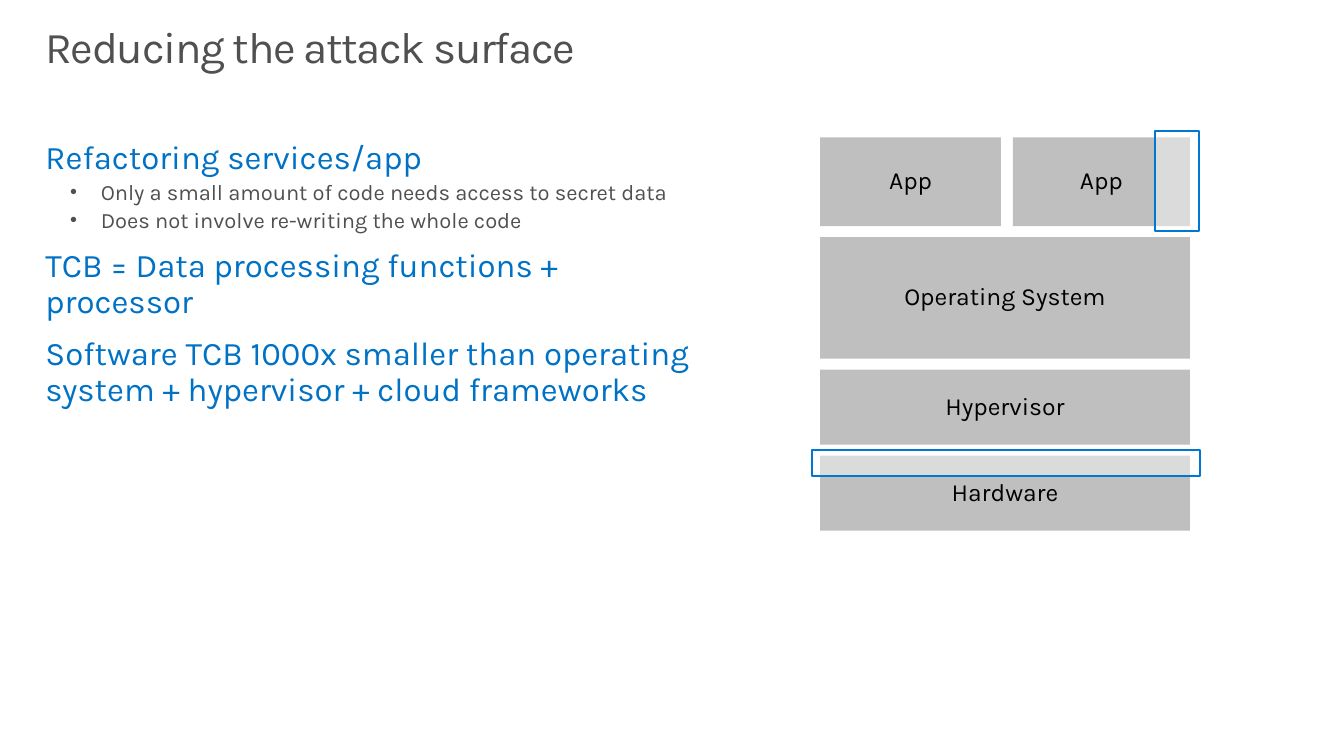
from lxml import etree
from pptx import Presentation
from pptx.dml.color import RGBColor
from pptx.enum.shapes import MSO_SHAPE
from pptx.enum.text import MSO_ANCHOR, PP_ALIGN
from pptx.oxml.ns import qn
from pptx.util import Inches, Pt

COLS, ROWS = 136, 76.5
CELL = Inches(0.1)
FONT = "Karla"
GREY, BLUE, EDGE = "505050", "0072C6", "0078D3"
BLOCK, WHITE, BLACK = "BFBFBF", "FFFFFF", "000000"
POINTS = [
    ("Refactoring services/app", 0, 0),
    ("Only a small amount of code needs access to secret data", 1, 3.2),
    ("Does not involve re-writing the whole code", 1, 3.2),
    ("TCB = Data processing functions + processor", 0, 12),
    ("Software TCB 1000x smaller than operating system + hypervisor + cloud frameworks", 0, 12),
]
LAYERS = [
    (9, [("App", 18.3), ("App", 17.9)]),
    (12.3, [("Operating System", 37.4)]),
    (7.6, [("Hypervisor", 37.4)]),
    (7.6, [("Hardware", 37.4)]),
]


def color(code):
    return RGBColor.from_string(code)


def grid(*cells):
    return [round(n * CELL) for n in cells]


def apply(item, values):
    for name, value in values.items():
        setattr(item, name, value)


def style(para, size, code, **extra):
    apply(para, {"line_spacing": 0.9, **extra})
    apply(para.font, {"size": Pt(size), "name": FONT})
    para.font.color.rgb = color(code)


def frame(slide, box):
    text = slide.shapes.add_textbox(*grid(*box)).text_frame
    left, top = grid(1.6, 1)
    apply(text, {"word_wrap": True, "margin_left": left, "margin_right": left,
                 "margin_top": top, "margin_bottom": top})
    return text


def rect(slide, box, fill):
    shape = slide.shapes.add_shape(MSO_SHAPE.RECTANGLE, *grid(*box))
    shape.shadow.inherit = False
    shape.fill.solid()
    shape.fill.fore_color.rgb = color(fill)
    shape.line.fill.background()
    return shape


def title(slide, box):
    para = frame(slide, box).paragraphs[0]
    run = para.add_run()
    run.text = "Reducing the attack surface"
    style(para, 32, GREY)
    run.font.size = Pt(32)
    run.font._element.set("spc", "-100")


def bullet(para):
    props = para._p.get_or_add_pPr()
    left, hang = grid(5.6, -3.1)
    props.set("marL", str(left))
    props.set("indent", str(hang))
    etree.SubElement(props, qn("a:buSzPct")).set("val", "90000")
    etree.SubElement(props, qn("a:buFont")).set("typeface", "Arial")
    etree.SubElement(props, qn("a:buChar")).set("char", "•")


def body(slide, box):
    text = frame(slide, box)
    for index, (words, level, space) in enumerate(POINTS):
        para = text.add_paragraph() if index else text.paragraphs[0]
        para.text = words
        if level:
            bullet(para)
        size, code = [(24, BLUE), (16, GREY)][level]
        style(para, size, code, level=level, space_before=Pt(space))


def block(slide, box, words):
    text = rect(slide, box, BLOCK).text_frame
    side, edge = grid(2, 1.6)
    apply(text, {"word_wrap": True, "vertical_anchor": MSO_ANCHOR.MIDDLE,
                 "margin_left": side, "margin_right": side,
                 "margin_top": edge, "margin_bottom": edge})
    para = text.paragraphs[0]
    para.text = words
    style(para, 18, BLACK, alignment=PP_ALIGN.CENTER)


def mark(slide, box):
    shape = rect(slide, box, WHITE)
    tint = shape.fill._xPr.find(f".//{qn('a:srgbClr')}")
    etree.SubElement(tint, qn("a:alpha")).set("val", "45000")
    shape.line.color.rgb = color(EDGE)
    shape.line.width = Pt(1.5)


def stack(slide, box):
    left, top, width, height = box
    gap = (height - sum(tall for tall, _ in LAYERS)) / (len(LAYERS) - 1)
    y = top
    for tall, parts in LAYERS:
        x = left
        for words, wide in parts:
            block(slide, (x, y, wide, tall), words)
            x += wide + 1.2
        y += tall + gap
    mark(slide, (left + width - 3.5, top - 0.6, 4.4, 10.1))
    mark(slide, (left - 0.8, top + height - 8.2, width + 1.8, 2.7))


def main():
    deck = Presentation()
    deck.slide_width, deck.slide_height = grid(COLS, ROWS)
    slide = deck.slides.add_slide(deck.slide_layouts[6])
    title(slide, (3, 1.6, 130, 9.4))
    body(slide, (3, 13.3, 70.8, 53.3))
    stack(slide, (83, 13.9, 37.4, 39.8))
    deck.save("out.pptx")


if __name__ == "__main__":
    main()
